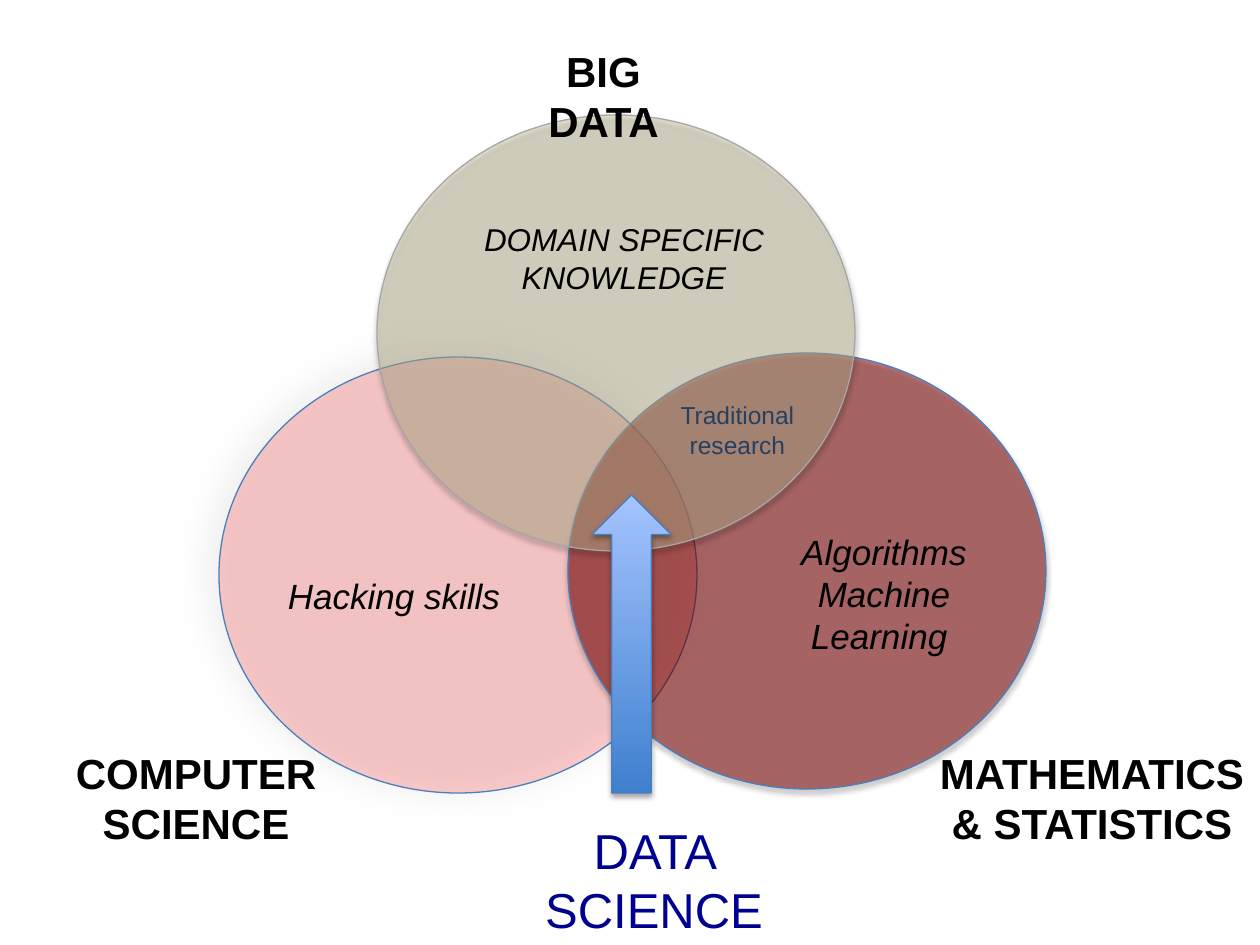
"""Build a Venn diagram slide showing where data science sits."""
import lxml.etree
import pptx
import pptx.dml.color
import pptx.enum.shapes
import pptx.enum.text
import pptx.oxml.ns
import pptx.util

SCALE = 914400 / 126
SLIDE_SIZE = (1260, 945)
CIRCLE_SIZE = (478, 436)

THEME = {
    "font": "Arial",
    "blue_line": "4B7EBC",
    "grey_line": "A6A6A6",
    "arrow": ("3F80CE", "A4C4FF"),
    "shadow": "000000",
    "area": {"size": 24, "bold": True, "color": "000000"},
    "skill": {"size": 20, "italic": True, "color": "000000"},
    "domain": {"size": 18, "italic": True, "color": "000000"},
    "overlap": {"size": 14, "color": "254061"},
    "result": {"size": 28, "color": "000090"},
}
SOFT_SHADOW = {"opacity": 33, "blur": 22, "dist": 5, "angle": 210}
TIGHT_SHADOW = {"opacity": 35, "blur": 3.1, "dist": 1.8, "angle": 90}

CIRCLES = [
    ((219, 357), "FF0000", 19, "blue_line", SOFT_SHADOW),
    ((568, 353), "800000", 52, "blue_line", TIGHT_SHADOW),
    ((377, 115), "C4BD97", 45, "grey_line", TIGHT_SHADOW),
]
ARROW_BOX = (592, 495, 79, 298)
LABELS = [
    ("Hacking skills", "skill", (239, 568, 310, 55)),
    ("Algorithms\nMachine Learning ", "skill", (737, 524, 294, 140)),
    ("DATA SCIENCE", "result", (469, 814, 370, 72)),
    ("DOMAIN SPECIFIC \nKNOWLEDGE", "domain", (469, 214, 310, 89)),
    ("MATHEMATICS \n& STATISTICS", "area", (924, 741, 336, 165)),
    ("COMPUTER \nSCIENCE", "area", (60, 741, 272, 115)),
    ("Traditional \nresearch", "overlap", (668, 394, 139, 72)),
    ("BIG DATA", "area", (494, 39, 219, 63)),
]


def px(*lengths):
    return [pptx.util.Emu(round(length * SCALE)) for length in lengths]


def rgb(value):
    return pptx.dml.color.RGBColor.from_string(value)


def add_child(parent, tag, **attributes):
    child = lxml.etree.SubElement(parent, pptx.oxml.ns.qn(tag))
    for name, value in attributes.items():
        child.set(name, str(value))
    return child


def set_opacity(color_element, percent):
    add_child(color_element, "a:alpha", val=percent * 1000)


def add_figure(slide, preset, box, line_color, shadow):
    figure = slide.shapes.add_shape(preset, *px(*box))
    figure.line.color.rgb = rgb(line_color)
    figure.line.width = pptx.util.Pt(0.75)
    figure.shadow.inherit = False
    effects = figure._element.spPr.find(pptx.oxml.ns.qn("a:effectLst"))
    outer = add_child(
        effects, "a:outerShdw",
        blurRad=pptx.util.Pt(shadow["blur"]), dist=pptx.util.Pt(shadow["dist"]),
        dir=shadow["angle"] * 60000, rotWithShape=0,
    )
    set_opacity(add_child(outer, "a:srgbClr", val=THEME["shadow"]), shadow["opacity"])
    return figure


def add_circle(slide, corner, color, opacity, line, shadow):
    circle = add_figure(slide, pptx.enum.shapes.MSO_SHAPE.OVAL,
                        corner + CIRCLE_SIZE, THEME[line], shadow)
    circle.fill.solid()
    circle.fill.fore_color.rgb = rgb(color)
    set_opacity(circle._element.spPr.find(
        pptx.oxml.ns.qn("a:solidFill")).find(pptx.oxml.ns.qn("a:srgbClr")), opacity)


def add_arrow(slide):
    arrow = add_figure(slide, pptx.enum.shapes.MSO_SHAPE.UP_ARROW,
                       ARROW_BOX, THEME["blue_line"], TIGHT_SHADOW)
    arrow.fill.gradient()
    arrow.fill.gradient_angle = 90
    for stop, color, position in zip(arrow.fill.gradient_stops, THEME["arrow"], (0, 1)):
        stop.color.rgb = rgb(color)
        stop.position = position


def add_label(slide, words, style, box):
    frame = slide.shapes.add_textbox(*px(*box)).text_frame
    frame.word_wrap = True
    frame.auto_size = pptx.enum.text.MSO_AUTO_SIZE.SHAPE_TO_FIT_TEXT
    frame.text = words
    look = dict(THEME[style], name=THEME["font"])
    color = look.pop("color")
    look["size"] = pptx.util.Pt(look["size"])
    for paragraph in frame.paragraphs:
        paragraph.alignment = pptx.enum.text.PP_ALIGN.CENTER
        for run in paragraph.runs:
            run.font.color.rgb = rgb(color)
            for attribute, value in look.items():
                setattr(run.font, attribute, value)


def main():
    deck = pptx.Presentation()
    deck.slide_width, deck.slide_height = px(*SLIDE_SIZE)
    slide = deck.slides.add_slide(deck.slide_layouts[6])
    for circle in CIRCLES:
        add_circle(slide, *circle)
    add_arrow(slide)
    for label in LABELS:
        add_label(slide, *label)
    deck.save("out.pptx")


if __name__ == "__main__":
    main()
